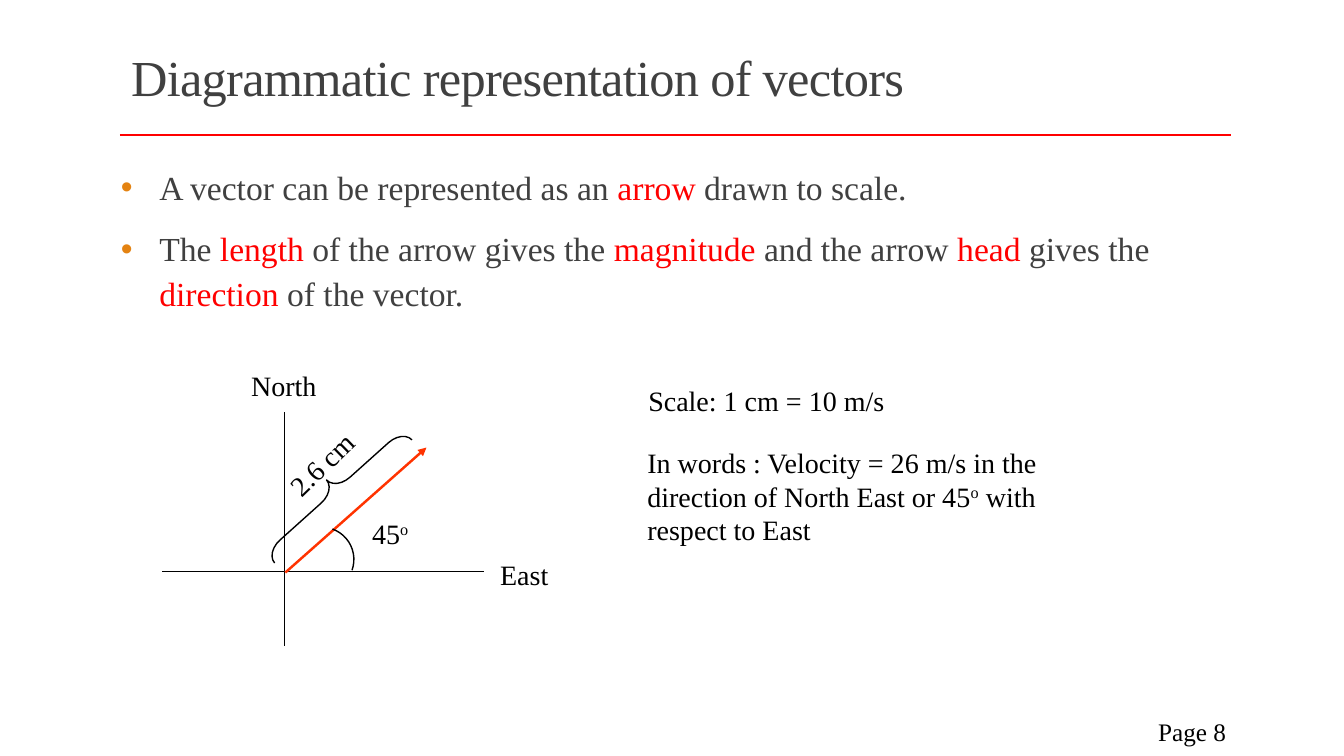
from lxml.etree import SubElement
from pptx import Presentation
from pptx.dml.color import RGBColor
from pptx.enum.shapes import MSO_CONNECTOR as CONN, MSO_SHAPE as SHAPE
from pptx.enum.text import MSO_ANCHOR as ANCHOR, MSO_AUTO_SIZE as FIT, PP_ALIGN as ALIGN
from pptx.oxml.ns import qn
from pptx.util import Pt

PX = 9144
FONT = "Times New Roman"
BLACK, GREY, RED, ORANGE, ARROW = "000000", "404040", "FF0000", "E48312", "FF3300"
LABEL_INSETS = (2, 1, 2, 1)


def px(n):
    """Turn px into EMU."""
    return round(n * PX)


def rgb(value):
    """Turn a hex string into a colour."""
    return RGBColor.from_string(value)


def setup_frame(tf, insets=(10, 5, 10, 5), anchor=ANCHOR.TOP):
    """Set wrapping, margins and anchor of a text frame."""
    tf.word_wrap = True
    tf.auto_size = FIT.NONE
    tf.vertical_anchor = anchor
    tf.margin_left, tf.margin_top, tf.margin_right, tf.margin_bottom = map(px, insets)


def write(p, text, size=20, color=BLACK, accent=None, raised=False, spacing=None, align=ALIGN.LEFT):
    """Write text whose parts between bars are accented or raised."""
    p.alignment = align
    for i, part in enumerate(text.split("|")):
        r = p.add_run()
        r.text = part
        marked = i % 2 == 1
        r.font.name, r.font.size = FONT, Pt(size)
        r.font.color.rgb = rgb(accent if marked and accent else color)
        if marked and raised:
            r.font._element.set("baseline", "30000")
        if spacing is not None:
            r.font._element.set("spc", str(spacing))


def add_label(slide, box, text, insets=LABEL_INSETS, anchor=ANCHOR.TOP, rotation=0, **fmt):
    """Add a text box with one paragraph."""
    s = slide.shapes.add_textbox(*map(px, box))
    s.rotation = rotation
    setup_frame(s.text_frame, insets, anchor)
    write(s.text_frame.paragraphs[0], text, **fmt)


def add_line(slide, x1, y1, x2, y2, color=BLACK, width=1, arrow=False):
    """Add a straight line, with an arrowhead if asked."""
    s = slide.shapes.add_connector(CONN.STRAIGHT, *map(px, (x1, y1, x2, y2)))
    s.line.color.rgb, s.line.width = rgb(color), Pt(width)
    if arrow:
        SubElement(s.line._get_or_add_ln(), qn("a:tailEnd"), type="triangle")
    SubElement(s._element.spPr, qn("a:effectLst"))


def add_outline(slide, kind, box, rotation, adjustments=()):
    """Add an unfilled rotated preset shape."""
    s = slide.shapes.add_shape(kind, *map(px, box))
    s.shadow.inherit = False
    s.fill.background()
    s.line.color.rgb, s.line.width = rgb(BLACK), Pt(1)
    s.rotation = rotation
    for i, value in enumerate(adjustments):
        s.adjustments[i] = value


def add_bullet(p, indent):
    """Give a paragraph a hanging coloured bullet."""
    pPr = p._p.get_or_add_pPr()
    pPr.set("marL", str(px(indent)))
    pPr.set("indent", str(-px(indent)))
    SubElement(SubElement(pPr, qn("a:buClr")), qn("a:srgbClr"), val=ORANGE)
    SubElement(pPr, qn("a:buFont"), typeface="Arial")
    SubElement(pPr, qn("a:buChar"), char="•")


def add_heading(slide, x, y, w, h):
    """Place the title and the red rule under it."""
    add_line(slide, x - 1, y + 103, x + 1101, y + 103, RED, 2)
    title = slide.shapes.title
    title.left, title.top, title.width, title.height = map(px, (x, y, w, h))
    setup_frame(title.text_frame, anchor=ANCHOR.MIDDLE)
    p = title.text_frame.paragraphs[0]
    p.line_spacing = 0.85
    write(p, "Diagrammatic representation of vectors", size=36, color=GREY, spacing=-50)


def add_points(slide, x, y, w, h):
    """Place the bulleted statements."""
    points = [
        "A vector can be represented as an |arrow| drawn to scale.",
        "The |length| of the arrow gives the |magnitude| and the arrow |head |gives the "
        "|direction| of the vector.",
    ]
    tf = slide.shapes.add_textbox(*map(px, (x, y, w, h))).text_frame
    setup_frame(tf, (0, 5, 0, 5))
    for i, text in enumerate(points):
        p = tf.add_paragraph() if i else tf.paragraphs[0]
        add_bullet(p, 38)
        p.line_spacing = 1.1
        p.space_before, p.space_after = Pt(6 if i else 0), Pt(6)
        write(p, text, size=24, color=GREY, accent=RED)


def add_vector_diagram(slide, x, y):
    """Draw the compass axes and the vector around the origin x, y."""
    add_line(slide, x - 121, y, x + 198, y)
    add_line(slide, x, y - 158, x, y + 74)
    add_line(slide, x + 1, y + 1, x + 141, y - 123, ARROW, 1.75, arrow=True)
    add_label(slide, (x - 35, y - 202, 76, 43), "North")
    add_label(slide, (x + 212, y - 15, 76, 43), "East")
    add_outline(slide, SHAPE.ARC, (x + 5, y - 44, 64, 64), 19.6)
    add_label(slide, (x + 85, y - 56, 61, 49), "45|o|", raised=True)
    add_outline(slide, SHAPE.LEFT_BRACE, (x + 36, y - 171, 27, 183), 48.1, (0.71, 0.49))
    add_label(slide, (x + 1, y - 128, 84, 49), "2.6 cm", rotation=315.9)


def add_explanation(slide, x, y):
    """Place the scale and the description in words."""
    add_label(slide, (x + 1, y, 247, 49), "Scale: 1 cm = 10 m/s")
    add_label(slide, (x, y + 62, 391, 130),
              "In words : Velocity = 26 m/s in the direction of North East or 45|o| "
              "with respect to East", raised=True)


def main():
    """Build and save the slide."""
    prs = Presentation()
    prs.slide_width, prs.slide_height = px(1333), px(750)
    slide = prs.slides.add_slide(prs.slide_layouts[5])
    add_heading(slide, 120, 31, 1100, 98)
    add_points(slide, 120, 157, 1102, 180)
    add_vector_diagram(slide, 282, 567)
    add_explanation(slide, 640, 379)
    add_label(slide, (1083, 706, 143, 40), "Page 8", insets=(10, 5, 10, 5),
              anchor=ANCHOR.MIDDLE, size=18, align=ALIGN.RIGHT)
    prs.save("out.pptx")


if __name__ == "__main__":
    main()
